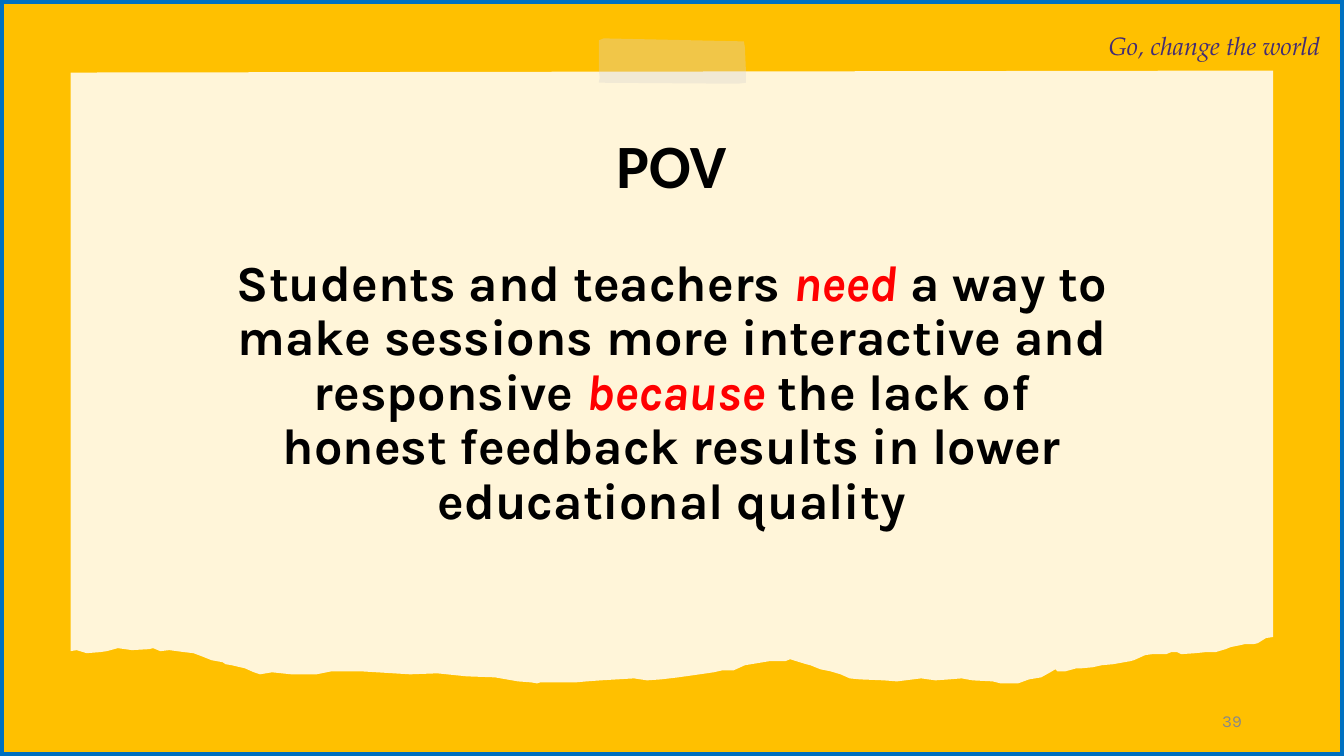
from lxml import etree
from pptx import Presentation
from pptx.dml.color import RGBColor
from pptx.enum.shapes import MSO_SHAPE
from pptx.enum.text import MSO_ANCHOR, PP_ALIGN
from pptx.oxml.ns import qn
from pptx.util import Pt

RECTANGLE = MSO_SHAPE.RECTANGLE
LEFT, CENTER, RIGHT = PP_ALIGN.LEFT, PP_ALIGN.CENTER, PP_ALIGN.RIGHT
TOP, MIDDLE = MSO_ANCHOR.TOP, MSO_ANCHOR.MIDDLE

SLIDE_W, SLIDE_H = 960, 540
OUTLINE_UNIT = 0.72  # points per outline unit
AMBER, BLUE, BLACK, RED = "FFC000", "0070C0", "000000", "FF0000"

# Torn lower edge, right to left, in outline units from the paper's top left
TORN_EDGE = [
    (1193, 562), (1186, 563), (1178, 568), (1174, 569), (1165, 569), (1161, 570),
    (1151, 572), (1146, 574), (1136, 577), (1126, 577), (1116, 578), (1102, 579),
    (1098, 577), (1092, 577), (1087, 579), (1073, 579), (1066, 580), (1055, 585),
    (1051, 586), (1034, 589), (1023, 590), (1014, 592), (1003, 593), (998, 593),
    (987, 596), (979, 596), (977, 594), (972, 597), (963, 602), (951, 604),
    (940, 608), (923, 608), (915, 606), (895, 605), (884, 603), (872, 604),
    (858, 605), (844, 603), (820, 606), (807, 605), (783, 604), (773, 603),
    (764, 599), (754, 596), (744, 594), (734, 590), (730, 589), (717, 585),
    (714, 584), (709, 586), (693, 586), (669, 590), (658, 595), (647, 595),
    (638, 597), (624, 599), (603, 602), (586, 604), (572, 605), (559, 603),
    (526, 605), (512, 606), (501, 607), (466, 607), (463, 608), (457, 607),
    (444, 606), (421, 602), (393, 601), (364, 598), (337, 599), (288, 596),
    (259, 596), (244, 599), (219, 599), (200, 597), (188, 599), (182, 597),
    (173, 593), (160, 590), (154, 589), (151, 587), (140, 585), (130, 581),
    (122, 578), (113, 577), (98, 575), (89, 576), (82, 573), (78, 574),
    (61, 575), (47, 573), (36, 576), (29, 577), (16, 578), (6, 575), (0, 576),
]
PAPER = [(1193, 0)] + TORN_EDGE + [(0, 2)]
TAPE = [(1, 2), (6, 0), (145, 3), (146, 9), (147, 32), (147, 44), (139, 45),
        (1, 44), (2, 39), (1, 31), (1, 18)]


def rgb(hex_colour):
    return RGBColor.from_string(hex_colour)


def fill_shape(shape, colour, opacity=100):
    """Fill without outline or shadow; opacity is in percent."""
    shape.shadow.inherit = False
    shape.line.fill.background()
    shape.fill.solid()
    shape.fill.fore_color.rgb = rgb(colour)
    if opacity < 100:
        srgb = shape._element.spPr.find(qn("a:solidFill"))[0]
        etree.SubElement(srgb, qn("a:alpha"), val=str(opacity * 1000))


def add_backdrop(slide, width, height):
    slide.background.fill.solid()
    slide.background.fill.fore_color.rgb = rgb(AMBER)
    backdrop = slide.shapes.add_shape(RECTANGLE, 0, 0, Pt(width), Pt(height))
    fill_shape(backdrop, AMBER)


def add_border(slide, width, height):
    border = slide.shapes.add_shape(RECTANGLE, 0, 0, Pt(width), Pt(height))
    border.shadow.inherit = False
    border.fill.background()
    border.line.color.rgb = rgb(BLUE)
    border.line.width = Pt(6)


def add_outline(slide, left, top, outline, colour, opacity):
    """Draw a closed outline whose units start at left, top."""
    builder = slide.shapes.build_freeform(*outline[0], scale=Pt(OUTLINE_UNIT))
    builder.add_line_segments(outline[1:], close=True)
    fill_shape(builder.convert_to_shape(Pt(left), Pt(top)), colour, opacity)


def add_text(slide, box, runs, font, size, align=LEFT, anchor=TOP,
             bold=False, line_spacing=None):
    """Write (text, colour, italic) runs as one paragraph in box."""
    frame = slide.shapes.add_textbox(*map(Pt, box)).text_frame
    frame.word_wrap = True
    frame.vertical_anchor = anchor
    paragraph = frame.paragraphs[0]
    paragraph.alignment = align
    paragraph.line_spacing = line_spacing
    for text, colour, italic in runs:
        run = paragraph.add_run()
        run.text = text
        run.font.name = font
        run.font.size = Pt(size)
        run.font.bold = bold
        run.font.italic = italic
        run.font.color.rgb = rgb(colour)


def add_note(slide, left, top):
    """Torn paper with its tape, heading and statement."""
    add_outline(slide, left, top, PAPER, "FFFFFF", 85)
    add_text(slide, (left + 77.8, top + 33.1, 702.7, 73.4),
             [("POV", BLACK, False)],
             "Calibri", 44, CENTER, MIDDLE, bold=True, line_spacing=0.9)
    add_outline(slide, left + 376.6, top - 23, TAPE, "D9D4D0", 35)
    statement = [
        ("Students and teachers ", BLACK, False),
        ("need", RED, True),
        (" a way to make sessions more interactive and responsive ", BLACK, False),
        ("because", RED, True),
        (" the lack of honest feedback results in lower educational quality",
         BLACK, False),
    ]
    add_text(slide, (left + 103.7, top + 130.3, 651.6, 262), statement,
             "Karla", 36, CENTER, bold=True, line_spacing=0.9)


def add_margin_texts(slide, width, height):
    add_text(slide, (width - 175.2, 18, 193, 29),
             [("Go, change the world", "422C75", True)], "TeX Gyre Pagella", 18)
    add_text(slide, (width - 281.8, height - 39.6, 216, 28.8),
             [("39", "888888", False)], "Karla", 12, RIGHT, MIDDLE)


def main():
    prs = Presentation()
    prs.slide_width, prs.slide_height = Pt(SLIDE_W), Pt(SLIDE_H)
    slide = prs.slides.add_slide(prs.slide_layouts[6])
    add_backdrop(slide, SLIDE_W, SLIDE_H)
    add_note(slide, 50.4, 50.4)
    add_border(slide, SLIDE_W, SLIDE_H)
    add_margin_texts(slide, SLIDE_W, SLIDE_H)
    prs.save("out.pptx")


if __name__ == "__main__":
    main()
